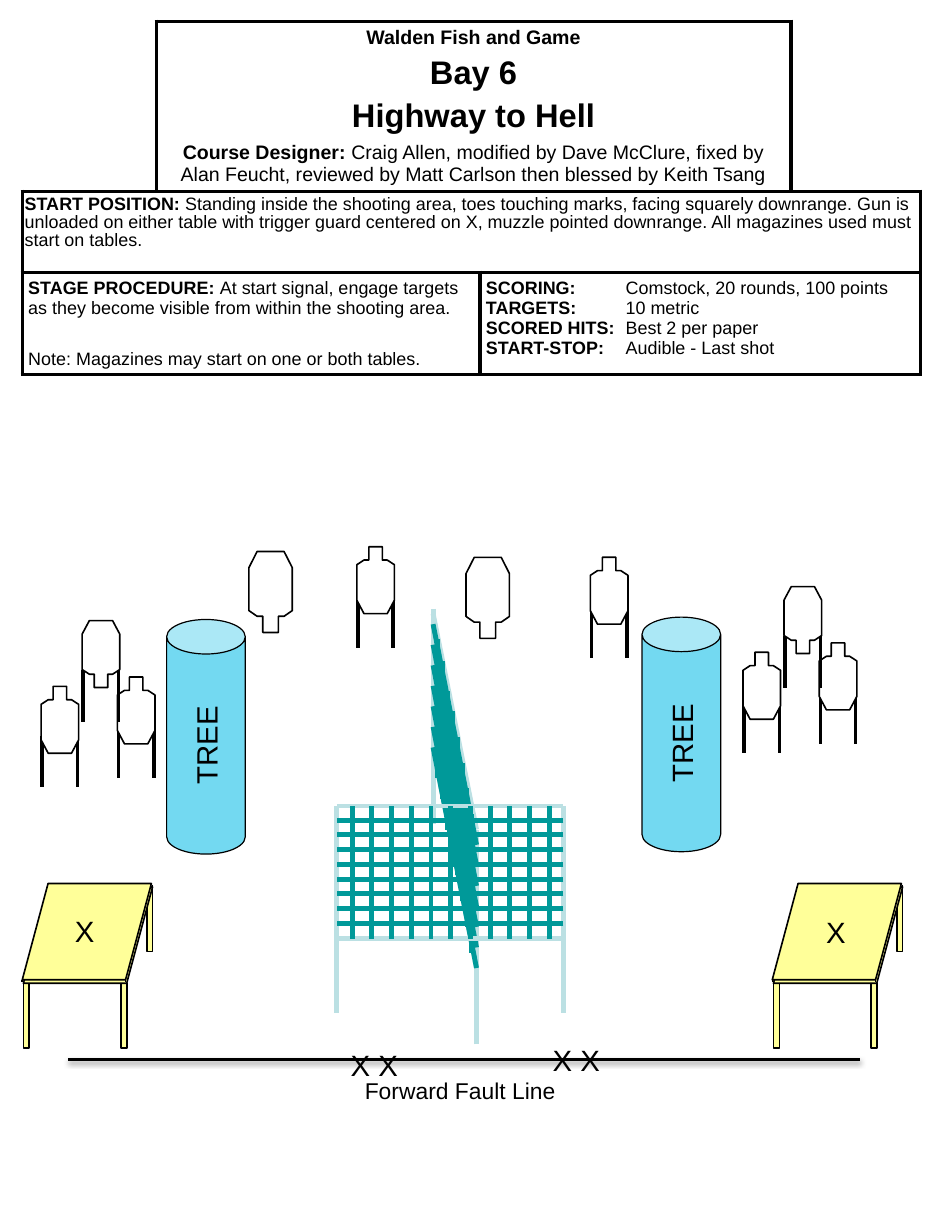
"""Build the Bay 6 "Highway to Hell" stage briefing slide."""
from pptx import Presentation
from pptx.dml.color import RGBColor
from pptx.enum.shapes import MSO_CONNECTOR, MSO_SHAPE
from pptx.enum.text import MSO_ANCHOR, PP_ALIGN
from pptx.oxml import parse_xml
from pptx.oxml.ns import nsdecls
from pptx.util import Inches, Pt

BLACK = RGBColor(0x00, 0x00, 0x00)
WHITE = RGBColor(0xFF, 0xFF, 0xFF)
TEAL = RGBColor(0x00, 0x99, 0x99)
PALE_TEAL = RGBColor(0xBB, 0xE0, 0xE3)
SKY = RGBColor(0x73, 0xD9, 0xF1)
YELLOW = RGBColor(0xFF, 0xFF, 0x99)


def add_segment(shapes, x1, y1, x2, y2, color, width):
    segment = shapes.add_connector(
        MSO_CONNECTOR.STRAIGHT, Inches(x1), Inches(y1), Inches(x2), Inches(y2))
    segment.line.color.rgb = color
    segment.line.width = Pt(width)
    segment._element.spPr.append(parse_xml(f"<a:effectLst {nsdecls('a')}/>"))
    return segment


def add_outline(shapes, points, fill):
    corners = [(Inches(x), Inches(y)) for x, y in points]
    builder = shapes.build_freeform(*corners[0])
    builder.add_line_segments(corners[1:], close=True)
    outline = builder.convert_to_shape()
    outline.shadow.inherit = False
    outline.fill.solid()
    outline.fill.fore_color.rgb = fill
    outline.line.color.rgb = BLACK
    outline.line.width = Pt(1)
    return outline


prs = Presentation()
prs.slide_width = Inches(8)
prs.slide_height = Inches(10.5)
slide = prs.slides.add_slide(prs.slide_layouts[6])

briefing = slide.shapes.add_table(
    3, 4, Inches(0.19), Inches(0.18), Inches(7.65), Inches(2.98)).table
briefing.first_row = False
briefing.horz_banding = False
for column, width in zip(briefing.columns, (1.14, 2.76, 2.65, 1.1)):
    column.width = Inches(width)
for row, height in zip(briefing.rows, (1.45, 0.69, 0.84)):
    row.height = Inches(height)

open_sides = {(0, 0): "LT", (0, 3): "RT"}
for r in range(3):
    for c in range(4):
        cell = briefing.cell(r, c)
        for side in "LRTB":
            paint = "<a:noFill/>"
            if side not in open_sides.get((r, c), ""):
                paint = '<a:solidFill><a:srgbClr val="000000"/></a:solidFill>'
            cell._tc.get_or_add_tcPr().append(parse_xml(
                f'<a:ln{side} {nsdecls("a")} w="28575">{paint}</a:ln{side}>'))
        cell.fill.solid()
        cell.fill.fore_color.rgb = WHITE

heading = [
    (0, 12, [("Walden Fish and Game", True)]),
    (4, 20, [("Bay 6", True)]),
    (4, 20, [("Highway to Hell", True)]),
    (4.2, 12, [("Course Designer: ", True),
               ("Craig Allen, modified by Dave McClure, fixed by Alan Feucht, "
                "reviewed by Matt Carlson then blessed by Keith Tsang", False)]),
]
start_position = [
    (0, 11, [("START POSITION:", True),
             (" Standing inside the shooting area, toes touching marks, facing squarely "
              "downrange. Gun is unloaded on either table with trigger guard centered on X, "
              "muzzle pointed downrange. All magazines used must start on tables.", False)]),
]
procedure = [
    (0, 11, [("STAGE PROCEDURE: ", True),
             ("At start signal, engage targets as they become visible from within "
              "the shooting area.", False)]),
    (19, 11, [("Note: Magazines may start on one or both tables.", False)]),
]
scoring = [(0, 11, [(label, True), ("\t" + value, False)]) for label, value in (
    ("SCORING:", "Comstock, 20 rounds, 100 points"),
    ("TARGETS:", "10 metric"),
    ("SCORED HITS:", "Best 2 per paper"),
    ("START-STOP:", "Audible - Last shot"))]

for r, first, last, margins, paragraphs in (
        (0, 1, 2, (0.05, 0.05), heading),
        (1, 0, 3, (0.02, 0.04), start_position),
        (2, 0, 1, (0.05, 0.05), procedure),
        (2, 2, 3, (0.05, 0.05), scoring)):
    cell = briefing.cell(r, first)
    cell.merge(briefing.cell(r, last))
    cell.margin_left = cell.margin_right = Inches(margins[0])
    cell.margin_top = cell.margin_bottom = Inches(margins[1])
    frame = cell.text_frame
    for i, (space, size, pieces) in enumerate(paragraphs):
        paragraph = frame.paragraphs[0] if i == 0 else frame.add_paragraph()
        paragraph.space_before = Pt(space)
        if paragraphs is heading:
            paragraph.alignment = PP_ALIGN.CENTER
            cell.vertical_anchor = MSO_ANCHOR.MIDDLE
        if paragraphs is start_position:
            paragraph.line_spacing = 0.9
        if paragraphs is scoring:
            paragraph._p.get_or_add_pPr().append(parse_xml(
                f'<a:tabLst {nsdecls("a")}><a:tab pos="{Inches(1.19)}" algn="l"/></a:tabLst>'))
        for words, bold in pieces:
            run = paragraph.add_run()
            run.text = words
            run.font.name = "Arial"
            run.font.size = Pt(size)
            run.font.bold = bold
            run.font.color.rgb = BLACK

side_wall = slide.shapes.add_group_shape().shapes
for x1, y1, x2, y2 in ((4.06, 8.9, 4.06, 7.07), (3.69, 6.37, 4.06, 8.25),
                       (3.69, 5.23, 4.06, 7.07), (3.69, 5.19, 3.69, 7.02)):
    add_segment(side_wall, x1, y1, x2, y2, PALE_TEAL, 3)
for i, bottom in enumerate((8.12, 7.9, 7.68, 7.46, 7.24, 7.07, 6.81, 6.63)):
    x = 4.02 - 0.29 * i / 7
    add_segment(side_wall, x, bottom, x, bottom - 1.18, TEAL, 3)
for i in range(7):
    top = 5.32 + 0.175 * i
    add_segment(side_wall, 3.69, top, 4.06, top + 1.88, TEAL, 3)

for left, top in ((5.47, 5.26), (1.42, 5.28)):
    tree = slide.shapes.add_shape(
        MSO_SHAPE.CAN, Inches(left), Inches(top), Inches(0.67), Inches(2))
    tree.adjustments[0] = 0.44
    tree.shadow.inherit = False
    tree.fill.solid()
    tree.fill.fore_color.rgb = SKY
    tree.line.color.rgb = BLACK
    tree.line.width = Pt(0.75)
    frame = tree.text_frame
    frame.text = "TREE"
    frame.word_wrap = False
    frame.vertical_anchor = MSO_ANCHOR.MIDDLE
    frame._txBody.bodyPr.set("vert", "vert270")
    frame.paragraphs[0].alignment = PP_ALIGN.CENTER
    font = frame.paragraphs[0].runs[0].font
    font.name = "Arial"
    font.size = Pt(18)
    font.color.rgb = BLACK

fault_line = add_segment(slide.shapes, 0.58, 9.03, 7.33, 9.03, BLACK, 2)
fault_line._element.spPr[-1].append(parse_xml(
    f'<a:outerShdw {nsdecls("a")} blurRad="40000" dist="20000" dir="5400000" rotWithShape="0">'
    '<a:srgbClr val="000000"><a:alpha val="38000"/></a:srgbClr></a:outerShdw>'))

for left in (0.19, 6.58):
    gun_table = slide.shapes.add_group_shape().shapes
    for dx, top in ((1.06, 7.56), (0.84, 8.38), (0.01, 8.38)):
        leg = gun_table.add_shape(
            MSO_SHAPE.RECTANGLE, Inches(left + dx), Inches(top), Inches(0.05), Inches(0.55))
        leg.shadow.inherit = False
        leg.fill.solid()
        leg.fill.fore_color.rgb = YELLOW
        leg.line.color.rgb = BLACK
        leg.line.width = Pt(1)
    for dx, top in ((0.01, 7.56), (0, 7.53)):
        x = left + dx
        add_outline(gun_table, [(x + 0.22, top), (x + 1.1, top),
                                (x + 0.88, top + 0.82), (x, top + 0.82)], YELLOW)
    for dx, top in ((0, 8.35), (0.88, 8.35), (1.11, 7.54)):
        add_segment(gun_table, left + dx, top, left + dx, top + 0.02, BLACK, 1)

front_wall = slide.shapes.add_group_shape().shapes
for x in (2.87, 4.8):
    add_segment(front_wall, x, 6.87, x, 8.63, PALE_TEAL, 3)
for y in (6.87, 8):
    add_segment(front_wall, 4.8, y, 2.87, y, PALE_TEAL, 3)
for i in range(8):
    y = 6.99 + 0.88 * i / 7
    add_segment(front_wall, 4.8, y, 2.87, y, TEAL, 3)
for i in range(11):
    x = 3 + 0.168 * i
    add_segment(front_wall, x, 8, x, 6.87, TEAL, 3)

silhouette = [(0.32, 0), (0.68, 0), (0.68, 0.2), (0.81, 0.2), (1, 0.27), (1, 0.8), (0.81, 1),
              (0.19, 1), (0, 0.8), (0, 0.27), (0.19, 0.2), (0.32, 0.2)]
for left, top, width, height, inverted, on_stand in (
        (2.12, 4.7, 0.37, 0.69, True, False), (3.97, 4.75, 0.37, 0.69, True, False),
        (0.35, 5.85, 0.32, 0.57, False, True), (1, 5.77, 0.32, 0.57, False, True),
        (0.7, 5.29, 0.32, 0.57, True, True), (6.33, 5.56, 0.32, 0.57, False, True),
        (6.98, 5.48, 0.32, 0.57, False, True), (6.68, 5, 0.32, 0.57, True, True),
        (3.04, 4.66, 0.32, 0.57, False, True), (5.03, 4.75, 0.32, 0.57, False, True)):
    parts = slide.shapes
    if on_stand:
        parts = slide.shapes.add_group_shape().shapes
        for x in (left + 0.01, left + 0.31):
            add_segment(parts, x, top + 0.42, x, top + 0.86, BLACK, 2.25)
    target = add_outline(
        parts, [(left + width * x, top + height * y) for x, y in silhouette], WHITE)
    target.rotation = 180 if inverted else 0

for words, left, top, width, height, size in (
        ("X X", 2.89, 8.88, 0.74, 0.4, 18), ("X X", 4.61, 8.83, 0.74, 0.4, 18),
        ("X", 0.54, 7.73, 0.31, 0.4, 18), ("X", 6.94, 7.74, 0.31, 0.4, 18),
        ("Forward Fault Line", 3.01, 9.13, 1.83, 0.34, 14)):
    mark = slide.shapes.add_textbox(Inches(left), Inches(top), Inches(width), Inches(height))
    mark.text_frame.text = words
    mark.text_frame.word_wrap = size == 18
    font = mark.text_frame.paragraphs[0].runs[0].font
    font.name = "Arial"
    font.size = Pt(size)
    font.color.rgb = BLACK

prs.save("out.pptx")
